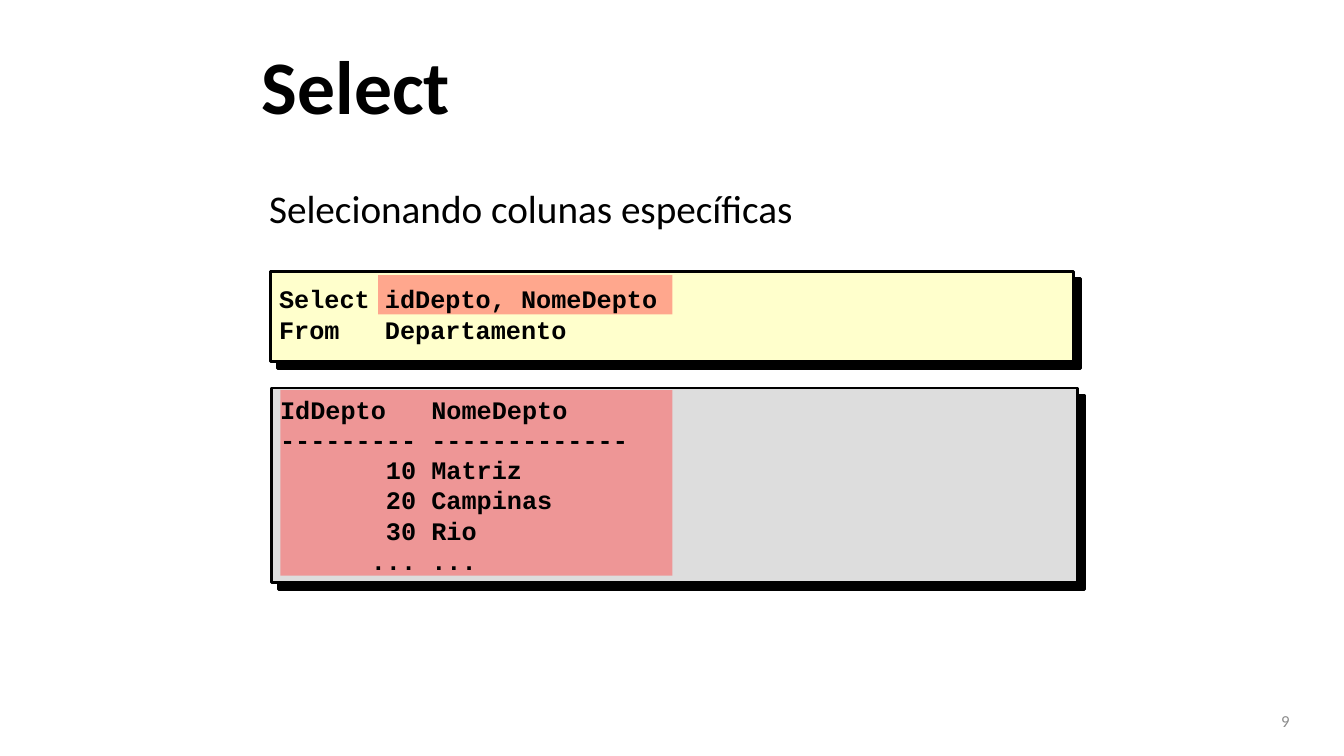
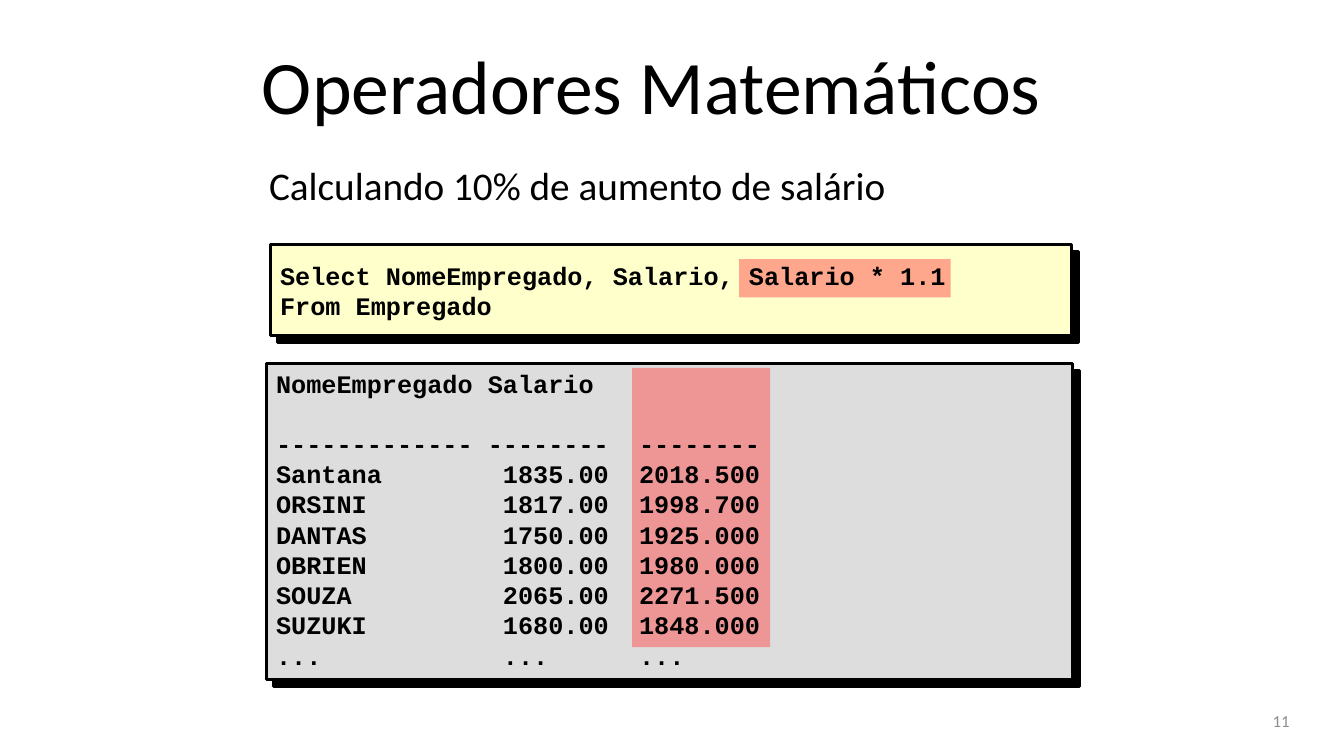
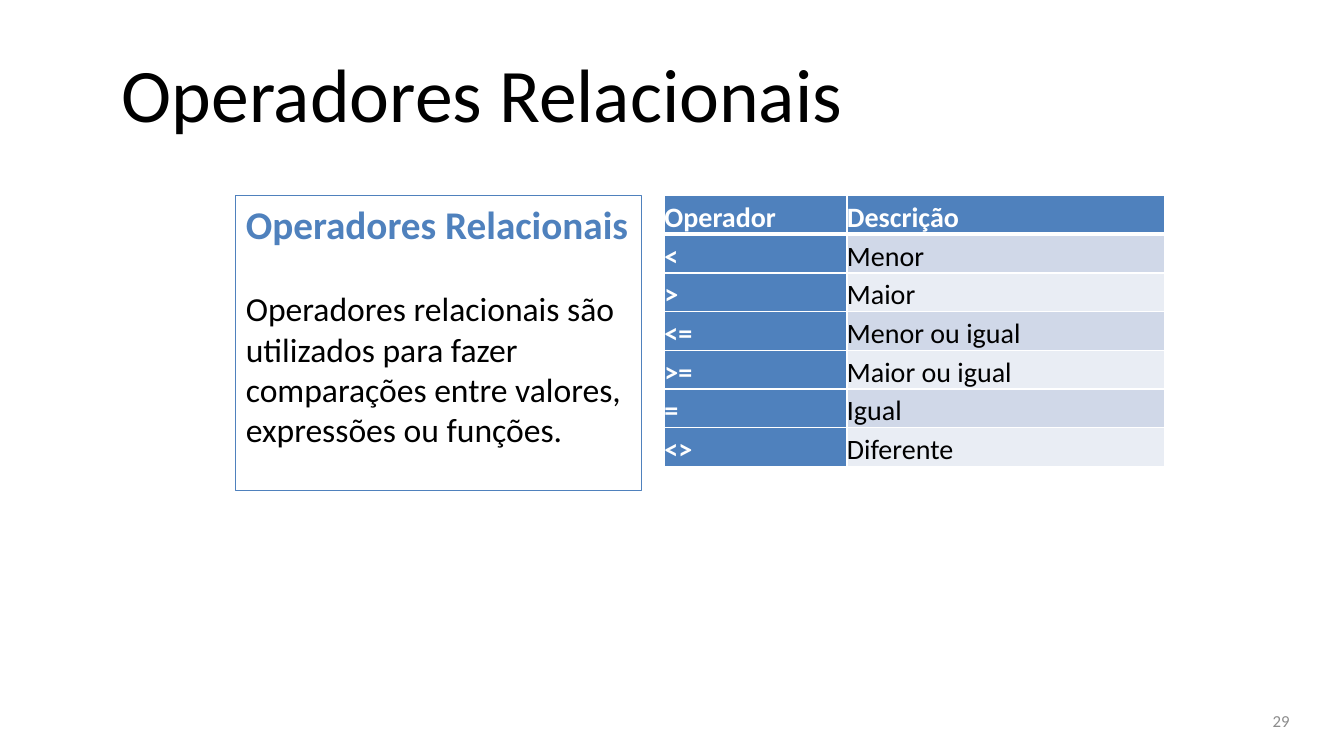
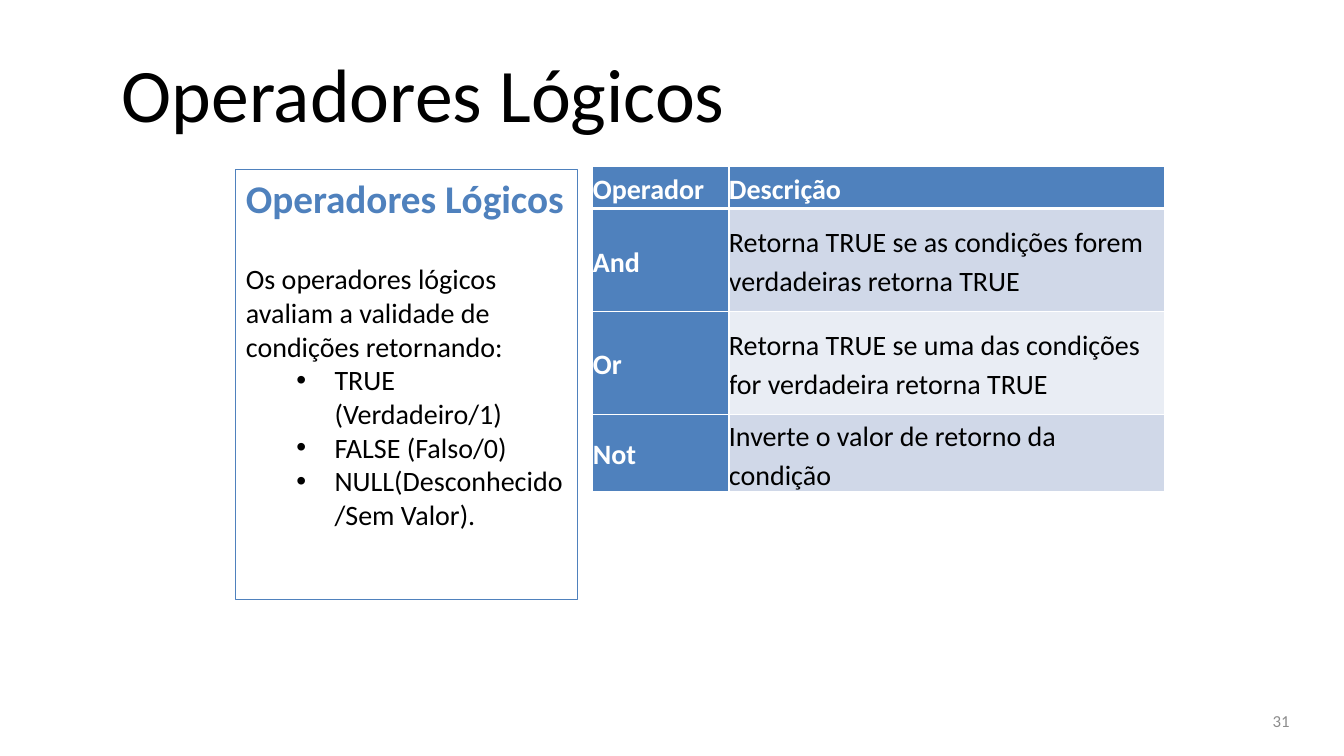
from lxml import etree
from pptx import Presentation
from pptx import util as u
from pptx.dml.color import RGBColor
from pptx.enum import shapes, text
from pptx.oxml.ns import qn

PX = 9144
COLORS = {
    "black": "000000", "white": "FFFFFF", "query": "FFFFCC", "result": "DDDDDD",
    "highlight": "FF5050", "accent": "4F81BD", "odd": "D0D8E8", "even": "E9EDF4",
    "number": "8C8C8C",
}
BODY, CODE = "Calibri", "Courier New"
CODE_LINE = 21.6

CODE_SLIDES = [
    {
        "number": "9", "title": "Select", "bold": True,
        "subtitle": "Selecionando colunas específicas", "subtitle_at": (257, 178, 545, 104),
        "panels": [("result", (269, 385, 800, 193)), ("query", (268, 269, 797, 90))],
        "highlights": [(375, 273, 292, 39), (278, 387, 389, 184)],
        "query_at": (267, 265, 800, 93),
        "query": ["Select idDepto, NomeDepto", "From   Departamento"],
        "result_at": (268, 386, 797, 190), "header_gap": 0,
        "result": [
            "IdDepto   NomeDepto",
            "--------- -------------",
            "       10 Matriz",
            "       20 Campinas",
            "       30 Rio",
            "      ... ...",
        ],
    },
    {
        "number": "11", "title": "Operadores Matemáticos", "bold": False,
        "subtitle": "Calculando 10% de aumento de salário", "subtitle_at": (257, 155, 638, 57),
        "panels": [("query", (268, 243, 795, 90)), ("result", (264, 361, 800, 313))],
        "highlights": [(733, 257, 210, 38), (627, 365, 137, 277)],
        "query_at": (268, 242, 797, 93),
        "query": ["Select NomeEmpregado, Salario, Salario * 1.1", "From Empregado"],
        "result_at": (264, 360, 803, 283), "header_gap": CODE_LINE,
        "result": [
            "NomeEmpregado Salario",
            "------------- --------  --------",
            "Santana        1835.00  2018.500",
            "ORSINI         1817.00  1998.700",
            "DANTAS         1750.00  1925.000",
            "OBRIEN         1800.00  1980.000",
            "SOUZA          2065.00  2271.500",
            "SUZUKI         1680.00  1848.000",
            "...            ...      ...",
        ],
    },
]

OPERATOR_SLIDES = [
    {
        "number": "29", "title": "Operadores Relacionais",
        "card_at": (234, 194, 402, 293), "size": 24,
        "intro": "Operadores relacionais são utilizados para fazer comparações "
                 "entre valores, expressões ou funções.",
        "bullets": [],
        "table_at": (659, 194), "cols": [181, 315], "rows": [37] * 7,
        "operators": [
            ("Operador", "Descrição"), ("<", "Menor"), (">", "Maior"),
            ("<=", "Menor ou igual"), (">=", "Maior ou igual"),
            ("=", "Igual"), ("<>", "Diferente"),
        ],
    },
    {
        "number": "31", "title": "Operadores Lógicos",
        "card_at": (234, 168, 339, 427), "size": 20,
        "intro": "Os operadores lógicos avaliam a validade de condições retornando:",
        "bullets": ["TRUE (Verdadeiro/1)", "FALSE (Falso/0)", "NULL(Desconhecido/Sem Valor)."],
        "table_at": (588, 165), "cols": [135, 432], "rows": [42, 102, 102, 50],
        "operators": [
            ("Operador", "Descrição"),
            ("And", "Retorna TRUE se as condições forem verdadeiras retorna TRUE"),
            ("Or", "Retorna TRUE se uma das condições for verdadeira retorna TRUE"),
            ("Not", "Inverte o valor de retorno da condição"),
        ],
    },
]


def px(*lengths):
    return [u.Emu(length * PX) for length in lengths]


def rgb(name):
    return RGBColor.from_string(COLORS[name])


def sub(parent, tag, **attributes):
    return etree.SubElement(parent, qn(tag), {k: str(v) for k, v in attributes.items()})


def write(paragraph, words, size, color="black", bold=False, font=BODY):
    run = paragraph.add_run()
    run.text = words
    run.font.name, run.font.size, run.font.bold = font, u.Pt(size), bold
    run.font.color.rgb = rgb(color)


def next_paragraph(frame):
    first = frame.paragraphs[0]
    return frame.add_paragraph() if first.runs else first


def text_area(slide, at, middle=False):
    frame = slide.shapes.add_textbox(*px(*at)).text_frame
    frame.word_wrap = True
    frame.vertical_anchor = text.MSO_ANCHOR.MIDDLE if middle else text.MSO_ANCHOR.TOP
    return frame


def rectangle(slide, at, fill=None, line=None, width=1):
    box = slide.shapes.add_shape(shapes.MSO_SHAPE.RECTANGLE, *px(*at))
    box.shadow.inherit = False
    if fill:
        box.fill.solid()
        box.fill.fore_color.rgb = rgb(fill)
    else:
        box.fill.background()
    if line:
        box.line.color.rgb = rgb(line)
        box.line.width = u.Pt(width)
    else:
        box.line.fill.background()
    return box


def panel(slide, fill, at):
    box = rectangle(slide, at, fill, "black", 2)
    effects = box._element.spPr.find(qn("a:effectLst"))
    shadow = sub(effects, "a:outerShdw", dist=u.Pt(7.1), dir=45 * 60000,
                 algn="ctr", rotWithShape=0)
    sub(shadow, "a:srgbClr", val=COLORS["black"])


def highlight(slide, at):
    box = rectangle(slide, at, "highlight")
    color = box._element.spPr.find(qn("a:solidFill")).find(qn("a:srgbClr"))
    sub(color, "a:alpha", val=50000)


def code(slide, at, lines, middle=False, header_gap=0):
    frame = text_area(slide, at, middle)
    for line in lines:
        paragraph = next_paragraph(frame)
        paragraph.line_spacing = u.Pt(CODE_LINE)
        write(paragraph, line, 18, bold=True, font=CODE)
    if header_gap:
        frame.paragraphs[0].space_after = u.Pt(header_gap)


def new_slide(deck, content, title_at):
    slide = deck.slides.add_slide(deck.slide_layouts[6])
    title = text_area(slide, title_at, True).paragraphs[0]
    write(title, content["title"], 54, bold=content.get("bold", False))
    number = text_area(slide, (978, 695, 311, 40), True).paragraphs[0]
    number.alignment = text.PP_ALIGN.RIGHT
    write(number, content["number"], 12, "number")
    return slide


def code_slide(deck, content):
    slide = new_slide(deck, content, (250, 21, 883, 125))
    for fill, at in content["panels"]:
        panel(slide, fill, at)
    for at in content["highlights"]:
        highlight(slide, at)
    code(slide, content["query_at"], content["query"], middle=True)
    code(slide, content["result_at"], content["result"], header_gap=content["header_gap"])
    subtitle = text_area(slide, content["subtitle_at"])
    write(subtitle.paragraphs[0], content["subtitle"], 28)


def card(slide, content):
    frame = rectangle(slide, content["card_at"], line="accent", width=0.75).text_frame
    frame.word_wrap = True
    frame.vertical_anchor = text.MSO_ANCHOR.TOP
    write(frame.paragraphs[0], content["title"], 28, "accent", True)
    intro = frame.add_paragraph()
    intro.space_before = u.Pt(29)
    write(intro, content["intro"], content["size"])
    for words in content["bullets"]:
        bullet = frame.add_paragraph()
        properties = bullet._p.get_or_add_pPr()
        properties.set("marL", str(88 * PX))
        properties.set("indent", str(-38 * PX))
        sub(properties, "a:buFont", typeface="Arial")
        sub(properties, "a:buChar", char="•")
        write(bullet, words, content["size"])
    for paragraph in frame.paragraphs:
        paragraph.alignment = text.PP_ALIGN.LEFT


def borders(cell, **widths):
    properties = cell._tc.get_or_add_tcPr()
    for position, side in enumerate("LRTB"):
        edge = etree.Element(qn("a:ln" + side), w=str(u.Pt(widths.get(side, 1))))
        sub(sub(edge, "a:solidFill"), "a:srgbClr", val=COLORS["white"])
        properties.insert(position, edge)


def operator_table(slide, content):
    cols, rows = content["cols"], content["rows"]
    table = slide.shapes.add_table(
        len(rows), len(cols), *px(*content["table_at"], sum(cols), sum(rows))).table
    for column, width in zip(table.columns, px(*cols)):
        column.width = width
    for row, height in zip(table.rows, px(*rows)):
        row.height = height
    for r, entries in enumerate(content["operators"]):
        for c, words in enumerate(entries):
            cell = table.cell(r, c)
            heading = r == 0 or c == 0
            cell.margin_left = cell.margin_right = cell.margin_top = cell.margin_bottom = 0
            cell.vertical_anchor = text.MSO_ANCHOR.MIDDLE
            cell.fill.solid()
            cell.fill.fore_color.rgb = rgb("accent" if heading else "odd" if r % 2 else "even")
            borders(cell, T=3 if r == 1 else 1, B=3 if r == 0 else 1)
            paragraph = cell.text_frame.paragraphs[0]
            paragraph.line_spacing = 1.15
            write(paragraph, words, 20, "white" if heading else "black", heading)


def operator_slide(deck, content):
    slide = new_slide(deck, content, (111, 29, 1178, 125))
    card(slide, content)
    operator_table(slide, content)


def main():
    deck = Presentation()
    deck.slide_width, deck.slide_height = px(1333, 750)
    for content in CODE_SLIDES:
        code_slide(deck, content)
    for content in OPERATOR_SLIDES:
        operator_slide(deck, content)
    deck.save("out.pptx")


if __name__ == "__main__":
    main()
